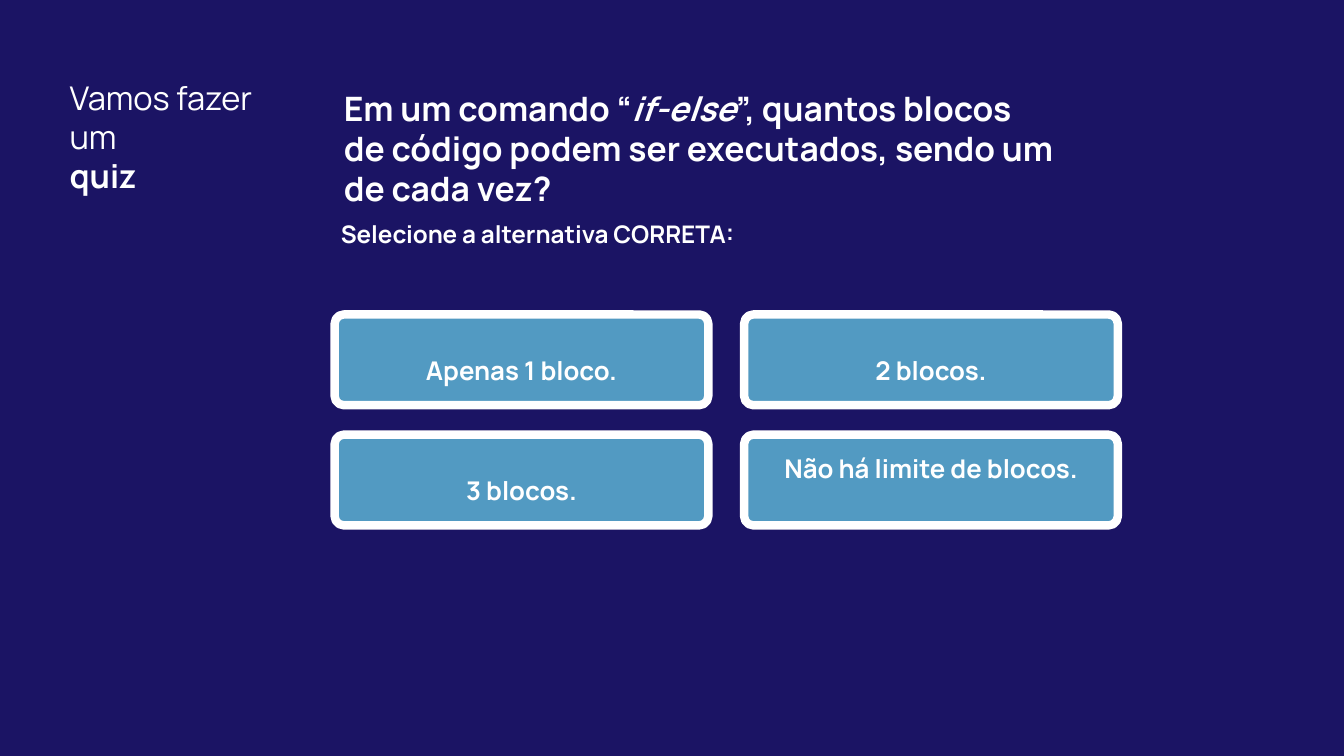
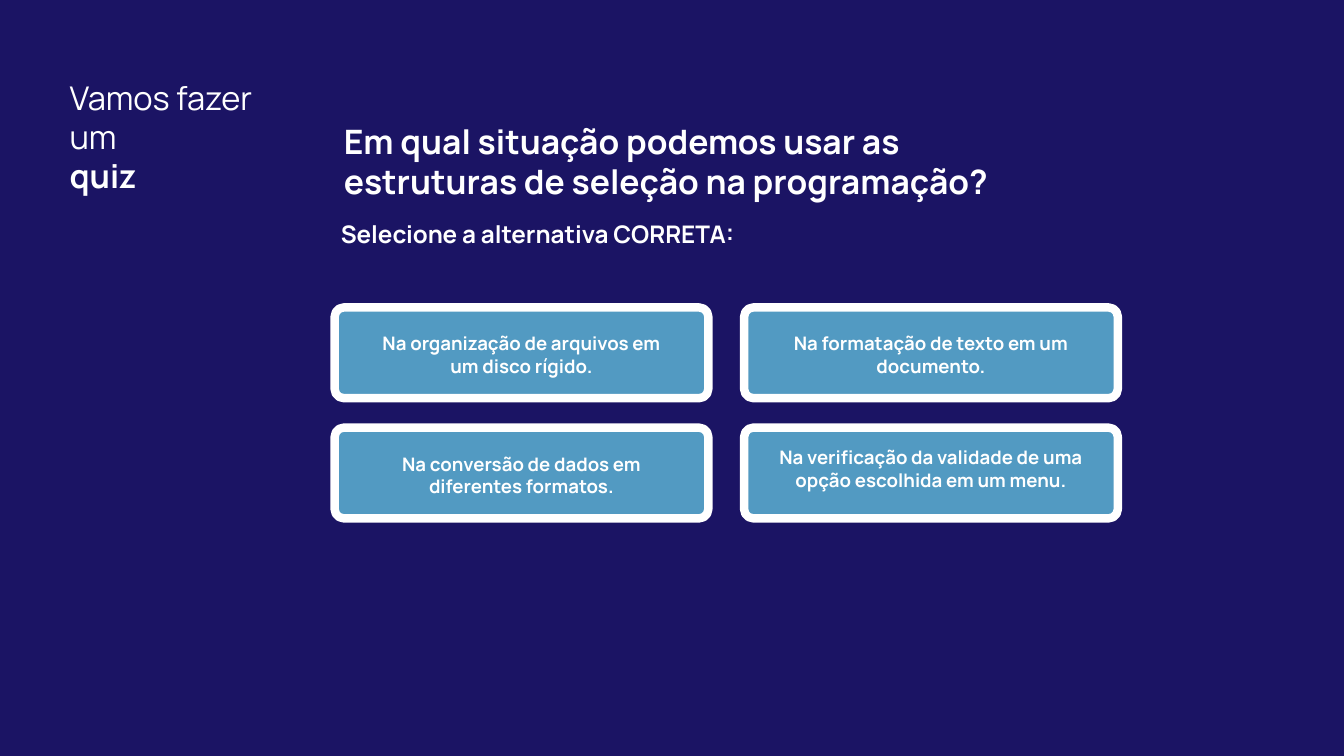
from itertools import product

from pptx import Presentation, util as u
from pptx.dml.color import RGBColor
from pptx.enum import shapes, text

NAVY = RGBColor(0x1B, 0x14, 0x64)
BLUE = RGBColor(0x52, 0x9A, 0xC2)
WHITE = RGBColor(0xFF, 0xFF, 0xFF)
FONT = "Manrope"

WIDTH, HEIGHT = u.Inches(13.33), u.Inches(7.5)
COLUMN, ROW = WIDTH / 100, HEIGHT / 100

CARD_LEFT, CARD_WIDTH, CARD_STEP = 24.9, 27.8, 30.47
CARD_HEIGHT, CARD_DROP = 12, 15.9

QUIZZES = [
    {
        "question": [("Em um comando “", {}), ("if-else", {"italic": True}),
                     ("”, quantos blocos de código podem ser executados, "
                      "sendo um de cada vez?", {})],
        "question_top": 10.93,
        "cards_top": 41.6,
        "size": 18.4,
        "answers": [("Apenas 1 bloco.", 0.22, 1.5), ("2 blocos.", 0.22, 1.5),
                    ("3 blocos.", 0.22, 1.5),
                    ("Não há limite de blocos.", 0.15, 1.0)],
    },
    {
        "question": [("Em qual situação podemos usar as estruturas de seleção "
                      "na programação?", {})],
        "question_top": 15.33,
        "cards_top": 40.67,
        "size": 13.3,
        "answers": [("Na organização de arquivos em um disco rígido.", 0.22, 1.0),
                    ("Na formatação de texto em um documento.", 0.22, 1.0),
                    ("Na conversão de dados em diferentes formatos.", 0.22, 1.0),
                    ("Na verificação da validade de uma opção escolhida "
                     "em um menu.", 0.16, 1.0)],
    },
]


def area(left, top, width, height):
    return (round(left * COLUMN), round(top * ROW),
            round(width * COLUMN), round(height * ROW))


def apply(target, values):
    for name, value in values.items():
        setattr(target, name, value)


def write(frame, paragraphs, size, side=0.0, top=0.0,
          align=text.PP_ALIGN.LEFT, spacing=1.0):
    apply(frame, {
        "word_wrap": True,
        "auto_size": text.MSO_AUTO_SIZE.NONE,
        "vertical_anchor": text.MSO_ANCHOR.TOP,
        "margin_left": u.Inches(side), "margin_right": u.Inches(side),
        "margin_top": u.Inches(top), "margin_bottom": u.Inches(0),
    })
    for index, runs in enumerate(paragraphs):
        paragraph = frame.add_paragraph() if index else frame.paragraphs[0]
        apply(paragraph, {"alignment": align, "line_spacing": spacing})
        for words, style in runs:
            run = paragraph.add_run()
            run.text = words
            apply(run.font, {"name": FONT, "size": u.Pt(size), "bold": True, **style})
            run.font.color.rgb = WHITE


def add_label(slide, place, paragraphs, size, side=0.0, top=0.0):
    label = slide.shapes.add_textbox(*area(*place))
    write(label.text_frame, paragraphs, size, side, top)


def set_question(slide, runs, top):
    question = slide.shapes.title
    apply(question, dict(zip(("left", "top", "width", "height"),
                             area(24.83, top, 54.7, 16))))
    write(question.text_frame, [runs], 24, 0.1, 0.05)


def add_answer(slide, place, words, size, inset, spacing):
    card = slide.shapes.add_shape(shapes.MSO_SHAPE.ROUNDED_RECTANGLE, *area(*place))
    card.adjustments[0] = 0.1
    card.shadow.inherit = False
    card.fill.solid()
    card.fill.fore_color.rgb = BLUE
    card.line.color.rgb = WHITE
    card.line.width = u.Pt(6)
    write(card.text_frame, [[(words, {})]], size, 0.3, inset,
          text.PP_ALIGN.CENTER, spacing)


def add_quiz(deck, quiz):
    slide = deck.slides.add_slide(deck.slide_layouts[5])
    add_label(slide, (5.18, 10.27, 14.1, 15.73),
              [[("Vamos fazer um", {"bold": False})], [("quiz", {})]], 23.3)
    set_question(slide, quiz["question"], quiz["question_top"])
    add_label(slide, (24.83, 28.67, 52.06, 8),
              [[("Selecione a alternativa CORRETA:", {})]], 17.3, 0.07, 0.03)
    for (row, column), (words, inset, spacing) in zip(
            product(range(2), repeat=2), quiz["answers"]):
        place = (CARD_LEFT + column * CARD_STEP,
                 quiz["cards_top"] + row * CARD_DROP, CARD_WIDTH, CARD_HEIGHT)
        add_answer(slide, place, words, quiz["size"], inset, spacing)


def main():
    deck = Presentation()
    apply(deck, {"slide_width": WIDTH, "slide_height": HEIGHT})
    backdrop = deck.slide_master.background.fill
    backdrop.solid()
    backdrop.fore_color.rgb = NAVY
    for quiz in QUIZZES:
        add_quiz(deck, quiz)
    deck.save("out.pptx")


if __name__ == "__main__":
    main()
